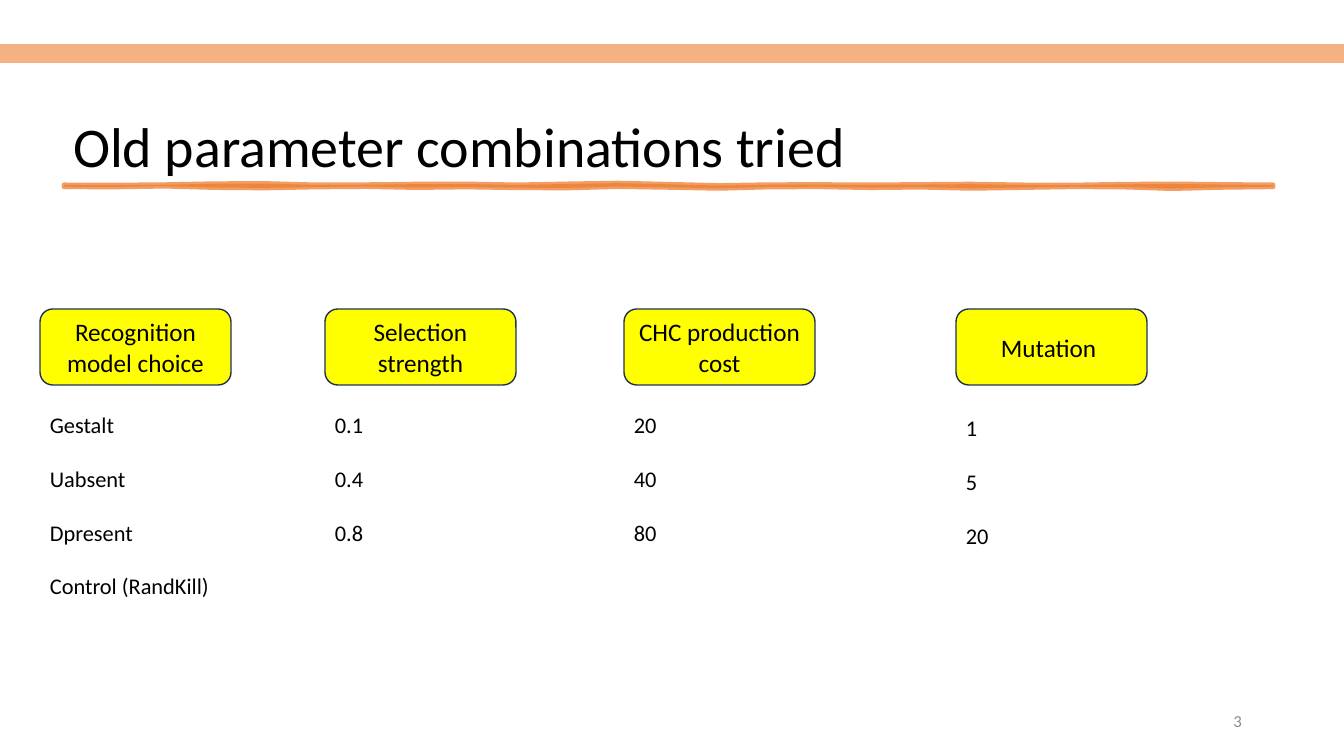
from lxml.etree import SubElement
from pptx import Presentation
from pptx.dml.color import RGBColor
from pptx.enum.shapes import MSO_SHAPE as Shape
from pptx.enum.text import MSO_ANCHOR as Anchor, MSO_AUTO_SIZE as AutoSize, PP_ALIGN as Align
from pptx.oxml.ns import qn
from pptx.util import Emu, Pt

PX = 914400 / 100.8
FONT = "Calibri"
COLOURS = {
    "text": "000000",
    "number": "8C8C8C",
    "band": "F4B183",
    "underline": "ED7D31",
    "heading": "FFFF00",
    "outline": "1E3256",
}
PARAMETERS = [
    (40, 406, "Recognition model choice", ["Gestalt", "Uabsent", "Dpresent", "Control (RandKill)"]),
    (325, 406, "Selection strength", ["0.1", "0.4", "0.8"]),
    (624, 406, "CHC production cost", ["20", "40", "80"]),
    (956, 409, "Mutation ", ["1", "5", "20"]),
]
UPPER_WAVE = [0, 2, -2, -12, -14, 0, -2, -8, -9, 0, -10, -18, -6,
              6, -2, -3, 0, -4, -8, 0, 2, -6, -10, -4, 0]
LOWER_WAVE = [18, 20, 12, 26, 30, 20, 16, 26, 20, 28, 30, 16, 24,
              34, 20, 18, 27, 22, 34, 26, 18, 20, 36, 24, 18]


def px(*lengths):
    """Turn pixel lengths into EMU."""
    return [Emu(round(length * PX)) for length in lengths]


def colour(name):
    """Return a named colour."""
    return RGBColor.from_string(COLOURS[name])


def write(shape, lines, size, name="text", align=Align.LEFT, anchor=Anchor.TOP, gap=0):
    """Fill a shape with paragraphs of one style."""
    frame = shape.text_frame
    frame.auto_size = AutoSize.NONE
    frame.word_wrap = True
    frame.vertical_anchor = anchor
    frame.text = "\n".join(lines)
    for paragraph in frame.paragraphs:
        paragraph.alignment = align
        paragraph.space_after = Pt(gap)
        paragraph.font.name = FONT
        paragraph.font.size = Pt(size)
        paragraph.font.color.rgb = colour(name)


def add_block(slide, kind, box, fill, outline=None):
    """Add a plain preset shape."""
    shape = slide.shapes.add_shape(kind, *px(*box))
    shape.shadow.inherit = False
    shape.fill.solid()
    shape.fill.fore_color.rgb = colour(fill)
    if outline:
        shape.line.color.rgb = colour(outline)
        shape.line.width = Pt(1)
    else:
        shape.line.fill.background()
    return shape


def add_title(slide, left, top, width, height):
    """Place the title at the bottom of its box."""
    title = slide.shapes.title
    title.left, title.top, title.width, title.height = px(left, top, width, height)
    write(title, ["Old parameter combinations tried"], 40, anchor=Anchor.BOTTOM)
    title.text_frame.paragraphs[0].line_spacing = 0.9


def add_underline(slide, left, top, width):
    """Draw a hand-drawn stroke from two wavy edges in tenths of a pixel."""
    step = width * 10 / (len(UPPER_WAVE) - 1)
    upper = [(left * 10 + i * step, top * 10 + y) for i, y in enumerate(UPPER_WAVE)]
    lower = [(left * 10 + i * step, top * 10 + y) for i, y in enumerate(LOWER_WAVE)]
    builder = slide.shapes.build_freeform(*upper[0], scale=PX / 10)
    builder.add_line_segments(upper[1:] + lower[::-1], close=True)
    stroke = builder.convert_to_shape()
    stroke.shadow.inherit = False
    stroke.line.width = Pt(3.5)
    for paint in (stroke.fill, stroke.line.fill):
        paint.solid()
        paint.fore_color.rgb = colour("underline")
    properties = stroke._element.spPr
    for tint in properties.iter(qn("a:srgbClr")):
        SubElement(tint, qn("a:alpha"), val="75000")
    SubElement(properties.find(qn("a:ln")), qn("a:round"))


def add_parameter(slide, left, top, list_top, heading, values):
    """Add a heading box with its list of values below."""
    box = add_block(slide, Shape.ROUNDED_RECTANGLE, (left, top, 191, 76), "heading", "outline")
    write(box, [heading], 18, align=Align.CENTER, anchor=Anchor.MIDDLE)
    listing = slide.shapes.add_textbox(*px(left, list_top, 219, 38 + 54 * (len(values) - 1)))
    write(listing, values, 16, gap=19.3)


def add_slide_number(slide, *box):
    """Add the slide number at the right of its box."""
    number = slide.shapes.add_textbox(*px(*box))
    write(number, ["3"], 12, "number", Align.RIGHT, Anchor.MIDDLE)


def main():
    """Build the slide and save it."""
    presentation = Presentation()
    presentation.slide_width, presentation.slide_height = px(1344, 756)
    slide = presentation.slides.add_slide(presentation.slide_layouts[5])
    add_title(slide, 63, 27, 1215, 158)
    add_underline(slide, 64, 185, 1209)
    add_slide_number(slide, 950, 701, 302, 40)
    add_block(slide, Shape.RECTANGLE, (0, 44, 1344, 19), "band")
    for left, list_top, heading, values in PARAMETERS:
        add_parameter(slide, left, 309, list_top, heading, values)
    presentation.save("out.pptx")


if __name__ == "__main__":
    main()
